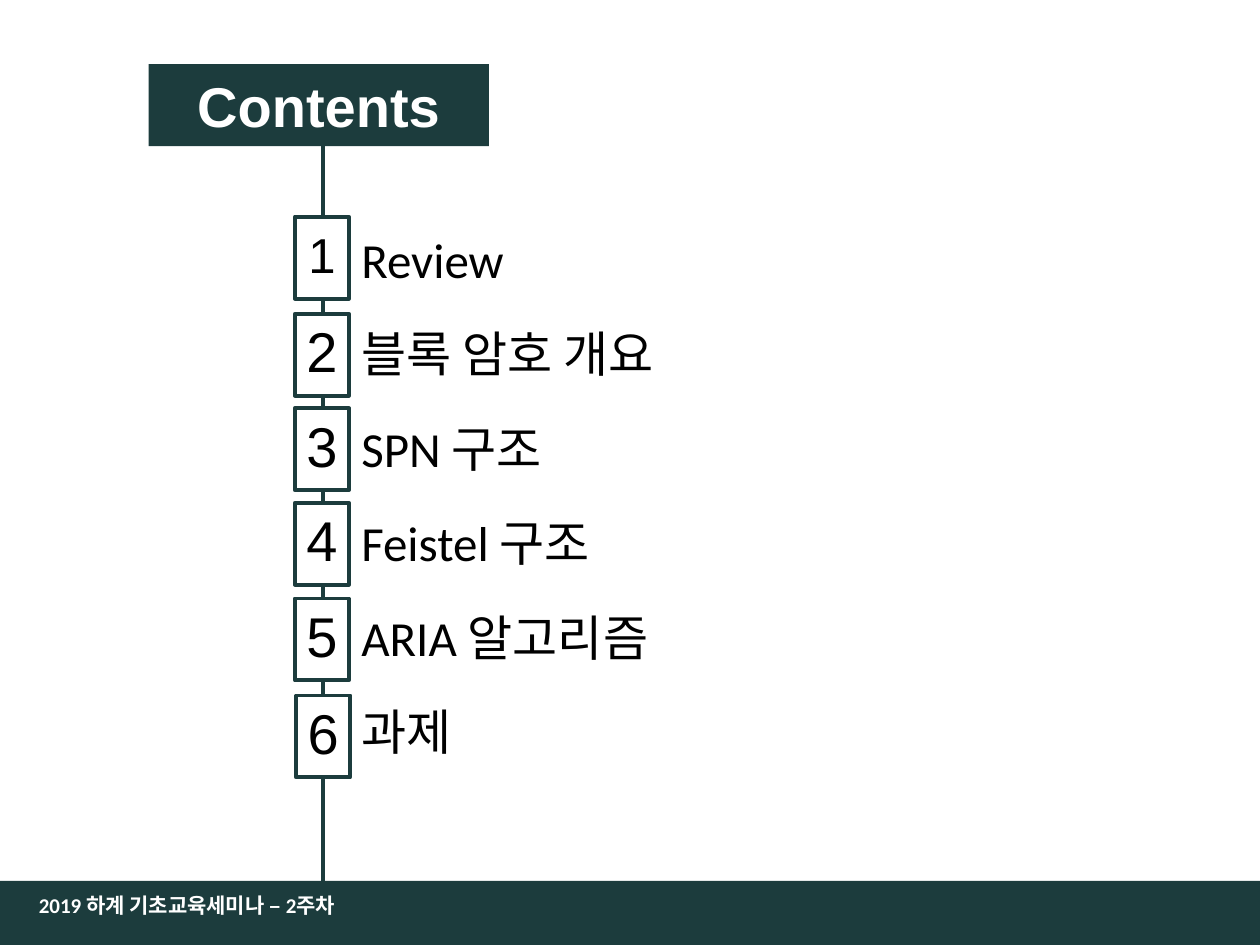
from lxml.etree import SubElement
from pptx import Presentation
from pptx.dml.color import RGBColor
from pptx.enum.shapes import MSO_CONNECTOR as Line, MSO_SHAPE as Shape
from pptx.enum.text import MSO_ANCHOR as Anchor, PP_ALIGN as Align
from pptx.oxml.ns import qn
from pptx.util import Inches, Pt

TEAL = RGBColor(0x1C, 0x3C, 0x3D)
WHITE = RGBColor(0xFF, 0xFF, 0xFF)
BLACK = RGBColor(0, 0, 0)

TITLE = "Contents"
FOOTER = "2019 하계 기초교육세미나 – 2주차"
TOPICS = [
    ("Review", 2.34, 1.72, 28),
    ("블록 암호 개요", 2.34, 2.49, 32),
    ("SPN 구조", 2.34, 3.24, 32),
    ("Feistel 구조", 2.34, 3.99, 32),
    ("ARIA 알고리즘", 2.34, 4.75, 32),
    ("과제", 2.35, 5.52, 32),
]
LABEL_TOP, STEP = 1.77, 0.75


def write(shape, text, size, font, color, bold=False, anchor=Anchor.MIDDLE, align=Align.LEFT):
    frame = shape.text_frame
    frame.word_wrap = True
    frame.vertical_anchor = anchor
    para = frame.paragraphs[0]
    para.text = text
    para.alignment = align
    face = para.runs[0].font
    face.size, face.name, face.bold = Pt(size), font, bold
    face.color.rgb = color
    return para


def add_rect(slide, box, fill, line=None):
    rect = slide.shapes.add_shape(Shape.RECTANGLE, *map(Inches, box))
    rect.shadow.inherit = False
    rect.fill.solid()
    rect.fill.fore_color.rgb = fill
    if line is None:
        rect.line.fill.background()
    else:
        rect.line.color.rgb = line
        rect.line.width = Pt(2.25)
    return rect


def add_text(slide, box, *args, **style):
    return write(slide.shapes.add_textbox(*map(Inches, box)), *args, **style)


def add_spine(slide):
    spine = slide.shapes.add_connector(Line.STRAIGHT, *map(Inches, (2.56, 0.75, 2.56, 7.15)))
    spine.line.color.rgb = TEAL
    spine.line.width = Pt(2.25)
    SubElement(spine._element.spPr, qn("a:effectLst"))


def add_topic(slide, index, label, left, top, size):
    add_text(slide, (2.77, LABEL_TOP + index * STEP, 3.84, 0.65),
             label, 28, "Calibri", BLACK, anchor=Anchor.TOP)
    badge = add_rect(slide, (left, top, 0.43, 0.65), WHITE, TEAL)
    badge.text_frame.margin_left = badge.text_frame.margin_right = 0
    para = write(badge, str(index + 1), size, "Arial", BLACK, align=Align.CENTER)
    para.line_spacing = 0.9
    para.space_before = Pt(10)


def main():
    deck = Presentation()
    deck.slide_width, deck.slide_height = Inches(10), Inches(7.5)
    slide = deck.slides.add_slide(deck.slide_layouts[6])
    add_spine(slide)
    add_rect(slide, (0, 6.99, 10, 0.51), TEAL)
    head = add_rect(slide, (1.18, 0.51, 2.7, 0.65), TEAL)
    write(head, TITLE, 32, "Arial", WHITE, bold=True, align=Align.CENTER)
    add_text(slide, (0.21, 6.98, 8.18, 0.4), FOOTER, 12, "Calibri", WHITE, bold=True)
    for index, topic in enumerate(TOPICS):
        add_topic(slide, index, *topic)
    deck.save("out.pptx")


if __name__ == "__main__":
    main()
